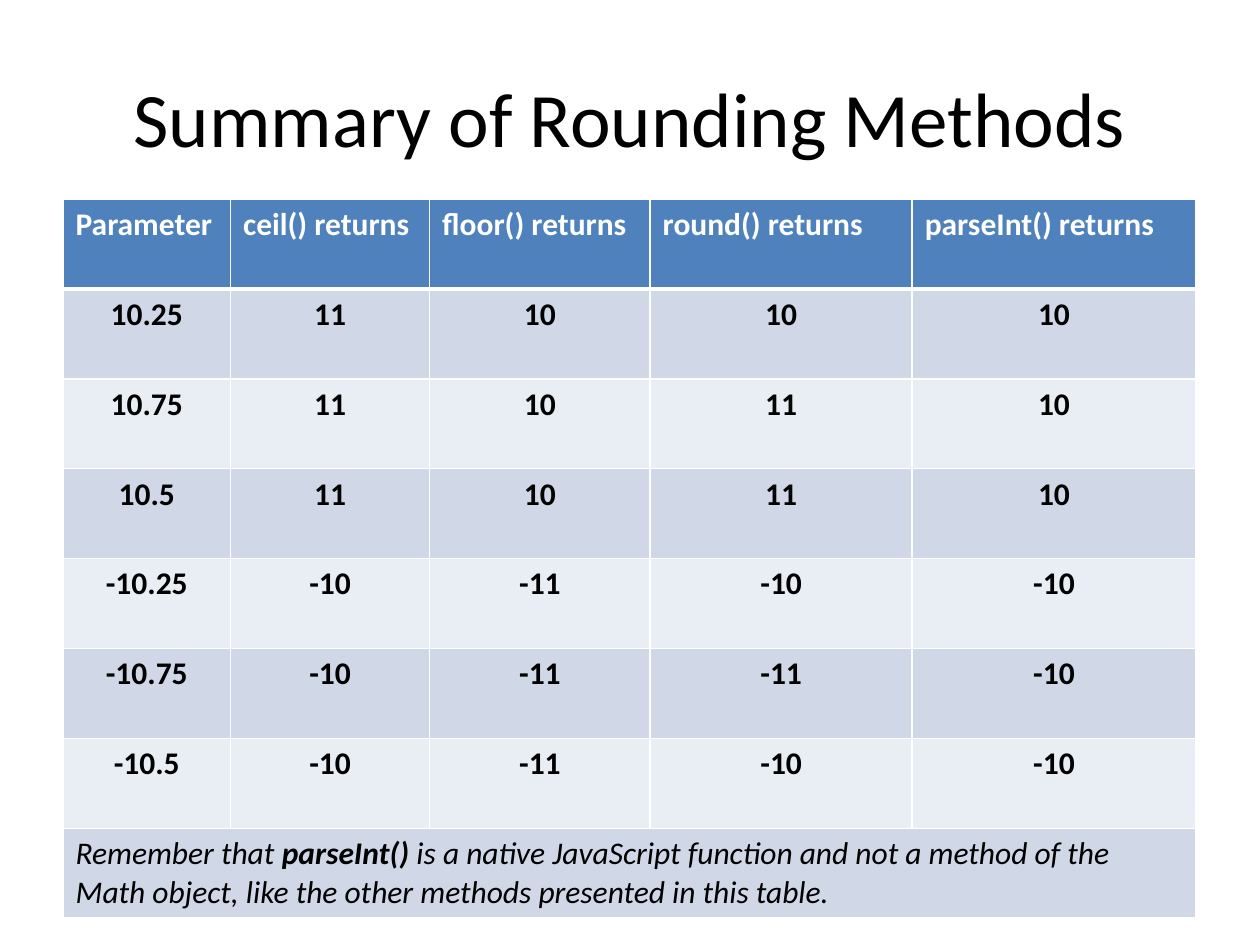
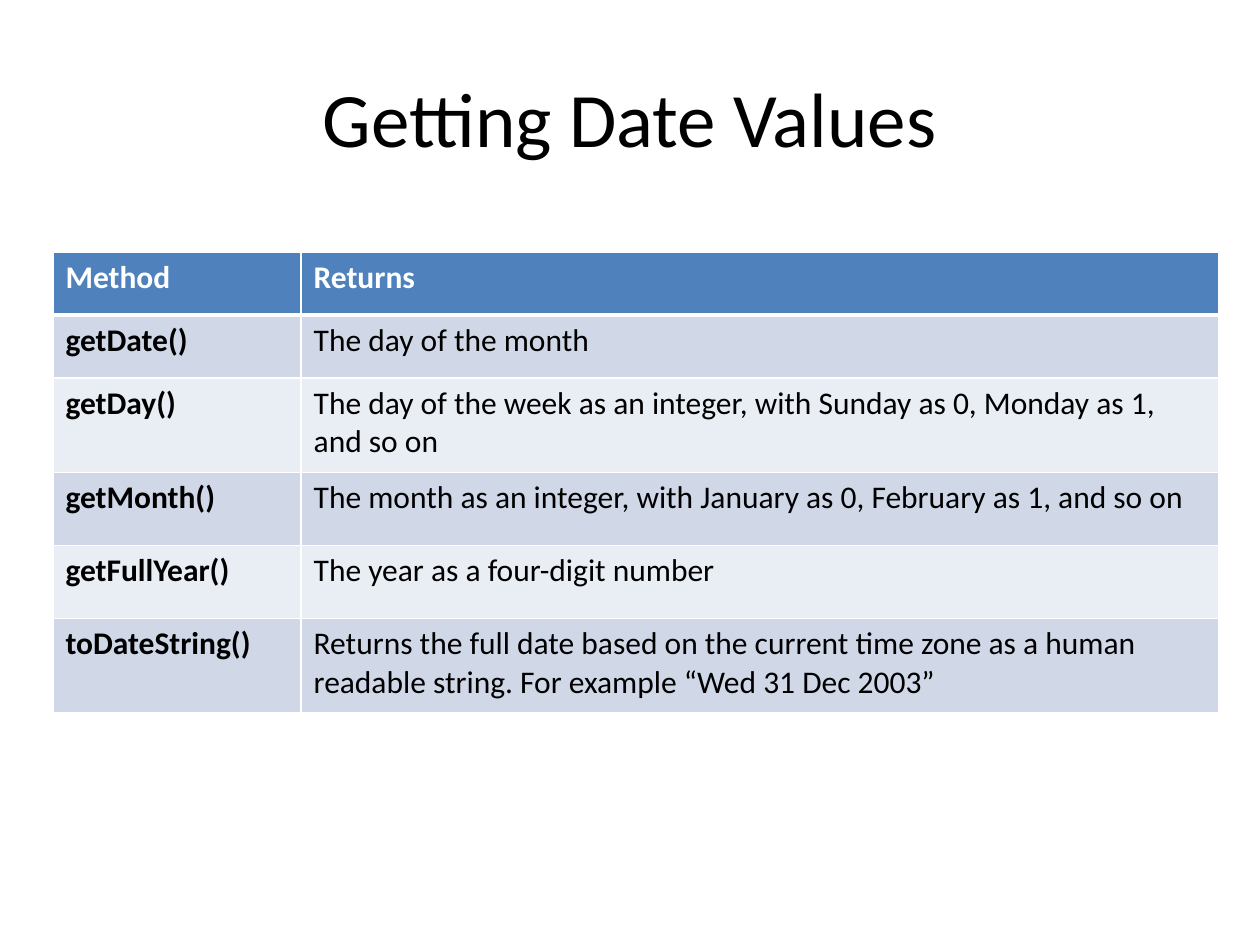
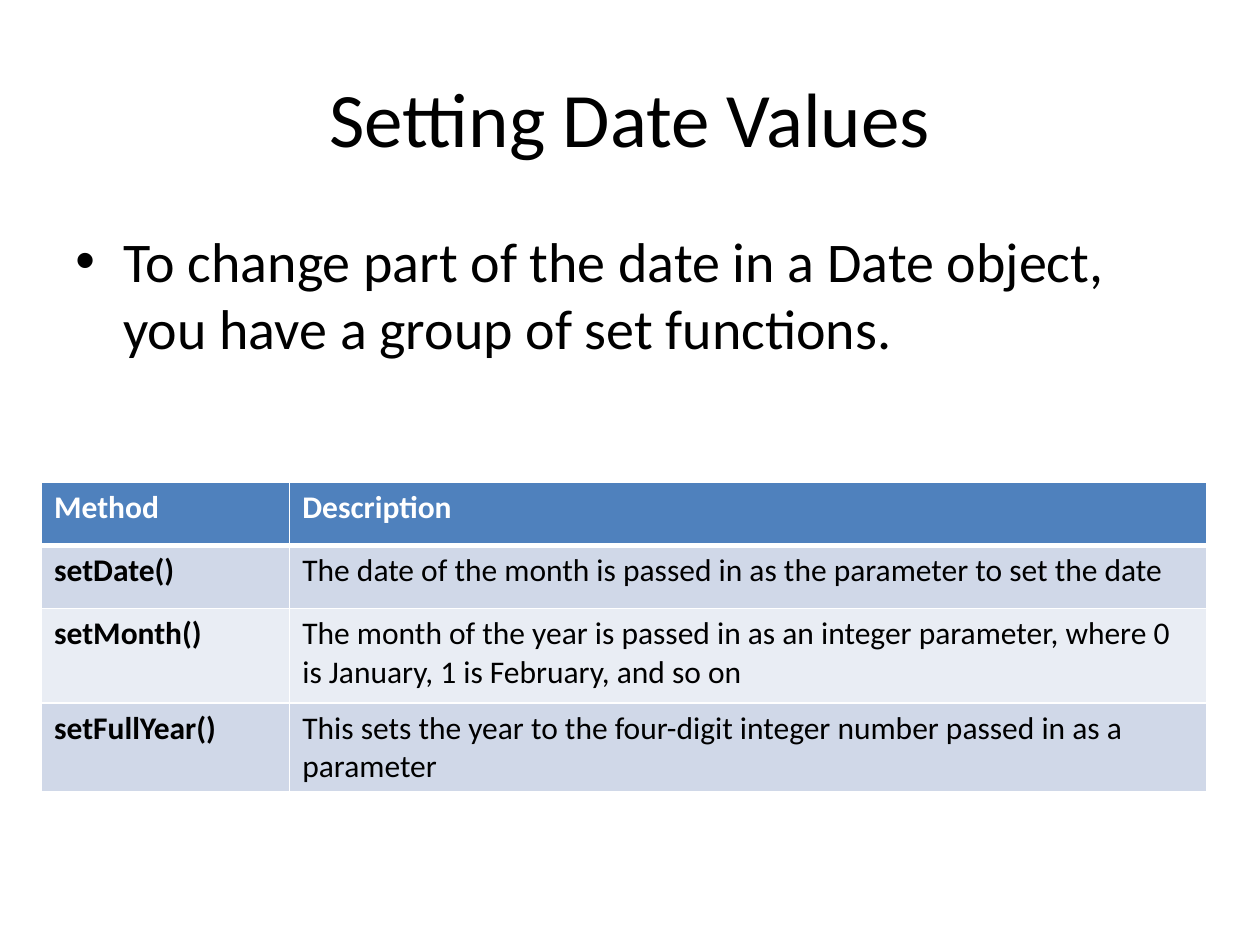
from pptx import Presentation
from pptx.dml.color import RGBColor
from pptx.enum.text import MSO_ANCHOR, PP_ALIGN
from pptx.oxml.ns import qn
from pptx.util import Inches, Pt
from lxml.etree import SubElement

# Shared look
FONT = "Calibri"
BLACK = RGBColor(0x00, 0x00, 0x00)
WHITE = RGBColor(0xFF, 0xFF, 0xFF)
HEADER = RGBColor(0x4F, 0x81, 0xBD)
BAND_DARK = RGBColor(0xD0, 0xD8, 0xE8)
BAND_LIGHT = RGBColor(0xE9, 0xED, 0xF4)
TITLE_SIZE, BODY_SIZE, TABLE_SIZE = 44, 32, 18
METHOD_COLS = [1.97, 7.28]

# Table contents
ROUNDING = [
    ["Parameter", "ceil() returns", "floor() returns", "round() returns", "parseInt() returns"],
    ["10.25", "11", "10", "10", "10"],
    ["10.75", "11", "10", "11", "10"],
    ["10.5", "11", "10", "11", "10"],
    ["-10.25", "-10", "-11", "-10", "-10"],
    ["-10.75", "-10", "-11", "-11", "-10"],
    ["-10.5", "-10", "-11", "-10", "-10"],
]
ROUNDING_NOTE = [
    ("Remember that ", False),
    ("parseInt() ", True),
    ("is a native JavaScript function and not a method of the Math object, "
     "like the other methods presented in this table.", False),
]
GETTERS = [
    ["Method", "Returns"],
    ["getDate()", "The day of the month"],
    ["getDay()", "The day of the week as an integer, with Sunday as 0, Monday as 1, and so on"],
    ["getMonth()", "The month as an integer, with January as 0, February as 1, and so on"],
    ["getFullYear()", "The year as a four-digit number"],
    ["toDateString()", "Returns the full date based on the current time zone as a human "
                       "readable string. For example “Wed 31 Dec 2003”"],
]
SETTERS = [
    ["Method", "Description"],
    ["setDate()", "The date of the month is passed in as the parameter to set the date"],
    ["setMonth()", "The month of the year is passed in as an integer parameter, "
                   "where 0 is January, 1 is February, and so on"],
    ["setFullYear()", "This sets the year to the four-digit integer number passed in "
                      "as a parameter"],
]


def style_run(r, size, color=BLACK, bold=False, italic=False):
    r.font.name = FONT
    r.font.size = Pt(size)
    r.font.color.rgb = color
    r.font.bold = bold
    r.font.italic = italic


def add_text(s, text, left, top, width, height, size):
    tf = s.shapes.add_textbox(Inches(left), Inches(top), Inches(width), Inches(height)).text_frame
    tf.word_wrap = True
    tf.text = text
    style_run(tf.paragraphs[0].runs[0], size)
    return tf


def add_titled_slide(prs, title):
    s = prs.slides.add_slide(prs.slide_layouts[6])
    tf = add_text(s, title, 0.5, 0.3, 9, 1.25, TITLE_SIZE)
    tf.vertical_anchor = MSO_ANCHOR.MIDDLE
    tf.paragraphs[0].alignment = PP_ALIGN.CENTER
    return s


def add_bullet(s, text):
    p = add_text(s, text, 0.5, 1.75, 9, 4.95, BODY_SIZE).paragraphs[0]
    p.space_before = Pt(0.2 * BODY_SIZE)
    pPr = p._p.get_or_add_pPr()
    pPr.set("marL", str(Inches(0.38)))
    pPr.set("indent", str(-Inches(0.38)))
    SubElement(pPr, qn("a:buFont"), typeface="Arial")
    SubElement(pPr, qn("a:buChar"), char="•")


def set_borders(cell, row):
    """White grid, with a thicker line under the header row."""
    widths = {"L": 1, "R": 1, "T": 3 if row == 1 else 1, "B": 3 if row == 0 else 1}
    tcPr = cell._tc.get_or_add_tcPr()
    for side, width in widths.items():
        ln = SubElement(tcPr, qn(f"a:ln{side}"), w=str(Pt(width)))
        fill = SubElement(ln, qn("a:solidFill"))
        SubElement(fill, qn("a:srgbClr"), val=str(WHITE))


def paint_cell(cell, row):
    set_borders(cell, row)
    cell.fill.solid()
    cell.fill.fore_color.rgb = HEADER if row == 0 else BAND_DARK if row % 2 else BAND_LIGHT


def add_grid(s, left, top, cols, heights, data, all_bold=False, align=None):
    """Banded table; the header and first column are bold, align applies below the header."""
    table = s.shapes.add_table(len(heights), len(cols), Inches(left), Inches(top),
                               Inches(sum(cols)), Inches(sum(heights))).table
    for col, width in zip(table.columns, cols):
        col.width = Inches(width)
    for i, height in enumerate(heights):
        table.rows[i].height = Inches(height)
        for cell in table.rows[i].cells:
            paint_cell(cell, i)
    for i, values in enumerate(data):
        for j, value in enumerate(values):
            tf = table.cell(i, j).text_frame
            tf.text = value
            p = tf.paragraphs[0]
            if i > 0:
                p.alignment = align
            style_run(p.runs[0], TABLE_SIZE, BLACK if i else WHITE,
                      bold=all_bold or i == 0 or j == 0)
    return table


def add_note_row(table, runs):
    last = len(table.rows) - 1
    cell = table.cell(last, 0)
    cell.merge(table.cell(last, len(table.columns) - 1))
    p = cell.text_frame.paragraphs[0]
    for text, bold in runs:
        r = p.add_run()
        r.text = text
        style_run(r, TABLE_SIZE, bold=bold, italic=True)


def main():
    prs = Presentation()
    prs.slide_width, prs.slide_height = Inches(10), Inches(7.5)

    # Rounding methods
    s = add_titled_slide(prs, "Summary of Rounding Methods")
    table = add_grid(s, 0.5, 1.58, [1.33, 1.58, 1.75, 2.08, 2.25], [5.71 / 8] * 8, ROUNDING,
                     all_bold=True, align=PP_ALIGN.CENTER)
    add_note_row(table, ROUNDING_NOTE)

    # Reading dates
    s = add_titled_slide(prs, "Getting Date Values")
    add_grid(s, 0.42, 2, METHOD_COLS, [0.5, 0.5, 0.75, 0.58, 0.58, 0.75], GETTERS)

    # Changing dates
    s = add_titled_slide(prs, "Setting Date Values")
    add_bullet(s, "To change part of the date in a Date object, "
                  "you have a group of set functions.")
    add_grid(s, 0.33, 3.83, METHOD_COLS, [0.5, 0.5, 0.75, 0.58], SETTERS)

    prs.save("out.pptx")


if __name__ == "__main__":
    main()
